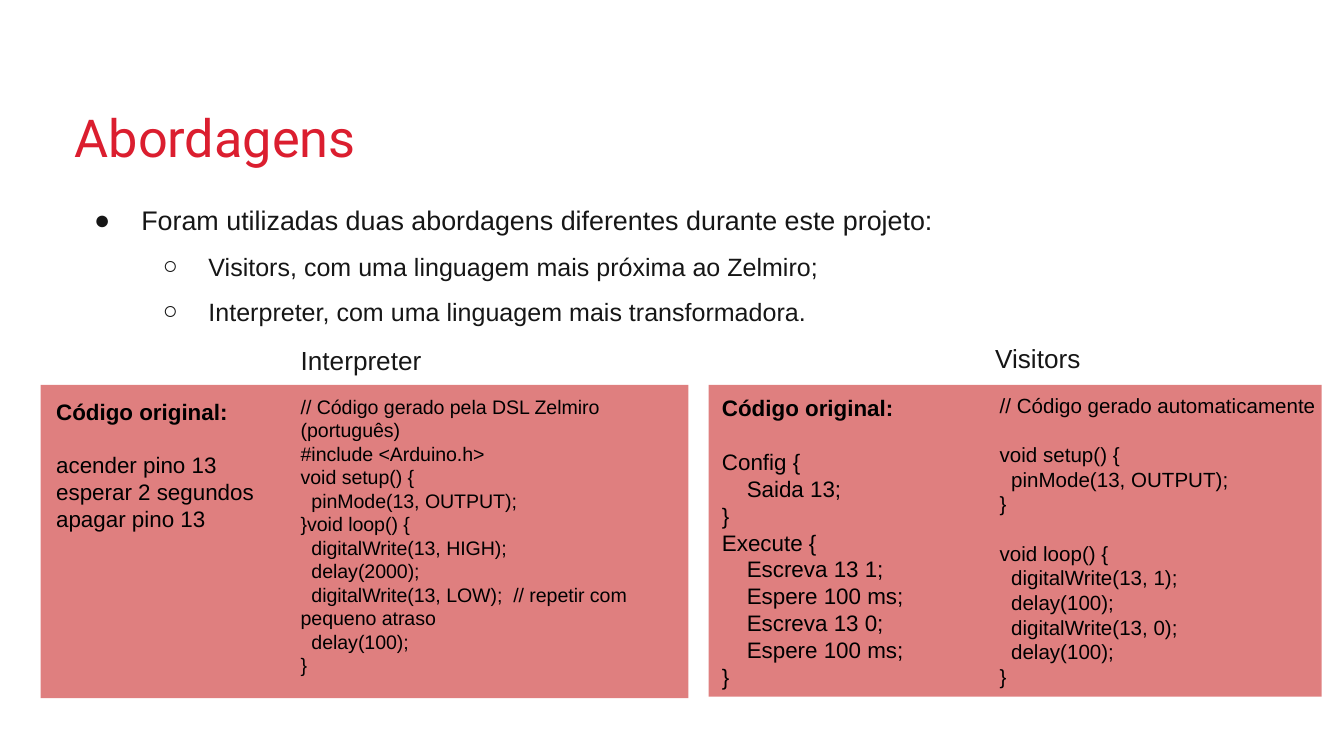
from lxml import etree
from pptx import Presentation
from pptx.dml.color import RGBColor
from pptx.enum.shapes import MSO_SHAPE
from pptx.enum.text import MSO_ANCHOR, PP_ALIGN
from pptx.oxml.ns import qn
from pptx.util import Pt

RECT = MSO_SHAPE.RECTANGLE
MIDDLE = MSO_ANCHOR.MIDDLE
LEFT = PP_ALIGN.LEFT
JUSTIFY = PP_ALIGN.JUSTIFY
RED = RGBColor(0xDB, 0x1E, 0x2F)
DARK = RGBColor(0x16, 0x16, 0x16)
BLACK = RGBColor(0, 0, 0)
PANEL = RGBColor(0xC0, 0, 0)

HEAD = "Código original:"
PORT_DSL = """Código original:

acender pino 13
esperar 2 segundos
apagar pino 13"""
PORT_OUT = """// Código gerado pela DSL Zelmiro (português)
#include <Arduino.h>
void setup() {
  pinMode(13, OUTPUT);
}void loop() {
  digitalWrite(13, HIGH);
  delay(2000);
  digitalWrite(13, LOW);  // repetir com pequeno atraso
  delay(100);
}"""
VISIT_DSL = """Código original:

Config {
    Saida 13;
}
Execute {
    Escreva 13 1;
    Espere 100 ms;
    Escreva 13 0;
    Espere 100 ms;
}"""
VISIT_OUT = """// Código gerado automaticamente

void setup() {
  pinMode(13, OUTPUT);
}

void loop() {
  digitalWrite(13, 1);
  delay(100);
  digitalWrite(13, 0);
  delay(100);
}"""


def style(font, name, size, color):
    font.name = name
    font.size = Pt(size)
    font.color.rgb = color


def add_text(box, text, size, color):
    """Add a text box; a blank line in the text becomes space before the next."""
    frame = slide.shapes.add_textbox(*map(Pt, box)).text_frame
    frame.word_wrap = True
    gap = 0
    for num, line in enumerate(text.split("\n")):
        if not line:
            gap = size * 1.2
            continue
        para = frame.paragraphs[0] if num == 0 else frame.add_paragraph()
        para.text = line
        style(para.font, "Arial", size, color)
        para.font.bold = line == HEAD
        if gap:
            para.space_before = Pt(gap)
            gap = 0


deck = Presentation()
deck.slide_width = Pt(720)
deck.slide_height = Pt(405)
slide = deck.slides.add_slide(deck.slide_layouts[5])

# Code panels
for left, width, height in [(21.8, 347, 167.8), (379.7, 328.3, 167)]:
    panel = slide.shapes.add_shape(RECT, Pt(left), Pt(206.2), Pt(width), Pt(height))
    panel.shadow.inherit = False
    panel.line.fill.background()
    panel.fill.solid()
    panel.fill.fore_color.rgb = PANEL
    tint = panel._element.spPr.find(qn("a:solidFill"))[0]
    etree.SubElement(tint, qn("a:alpha"), val="50000")

# Title
title = slide.shapes.title
title.left, title.top, title.width, title.height = map(Pt, (32.8, 40.3, 637.2, 65.5))
frame = title.text_frame
frame.text = "Abordagens"
frame.vertical_anchor = MIDDLE
para = frame.paragraphs[0]
para.alignment = LEFT
style(para.font, "Roboto", 28, RED)

# Bullet list
frame = slide.shapes.add_textbox(Pt(32.6), Pt(93.4), Pt(504.7), Pt(242.6)).text_frame
frame.word_wrap = True
frame.margin_top = frame.margin_bottom = Pt(7.2)
items = [
    (0, "Foram utilizadas duas abordagens diferentes durante este projeto:"),
    (1, "Visitors, com uma linguagem mais próxima ao Zelmiro;"),
    (1, "Interpreter, com uma linguagem mais transformadora."),
]
levels = [("●", 36, 25.2, 14.4, LEFT), ("○", 72, 24.5, 13.4, JUSTIFY)]
for num, (level, text) in enumerate(items):
    mark, margin, hang, size, align = levels[level]
    para = frame.paragraphs[0] if num == 0 else frame.add_paragraph()
    para.text = text
    para.level = level
    para.alignment = align
    para.line_spacing = 1.5
    props = para._p.get_or_add_pPr()
    props.set("marL", str(Pt(margin)))
    props.set("indent", str(-Pt(hang)))
    etree.SubElement(props, qn("a:buFont"), typeface="Arial")
    etree.SubElement(props, qn("a:buChar"), char=mark)
    style(para.font, "Arial", size, DARK)

# Code and its labels
add_text((23, 209.5, 149.8, 82), PORT_DSL, 12, BLACK)
add_text((154, 208, 206, 160), PORT_OUT, 10.5, BLACK)
add_text((379.7, 207.7, 167.8, 167), VISIT_DSL, 12, BLACK)
add_text((528.5, 206.9, 189.4, 167), VISIT_OUT, 11, BLACK)
add_text((154, 180.7, 93.6, 24.5), "Interpreter", 14, DARK)
add_text((526, 180, 64.1, 24.5), "Visitors", 14, DARK)

deck.save("out.pptx")
